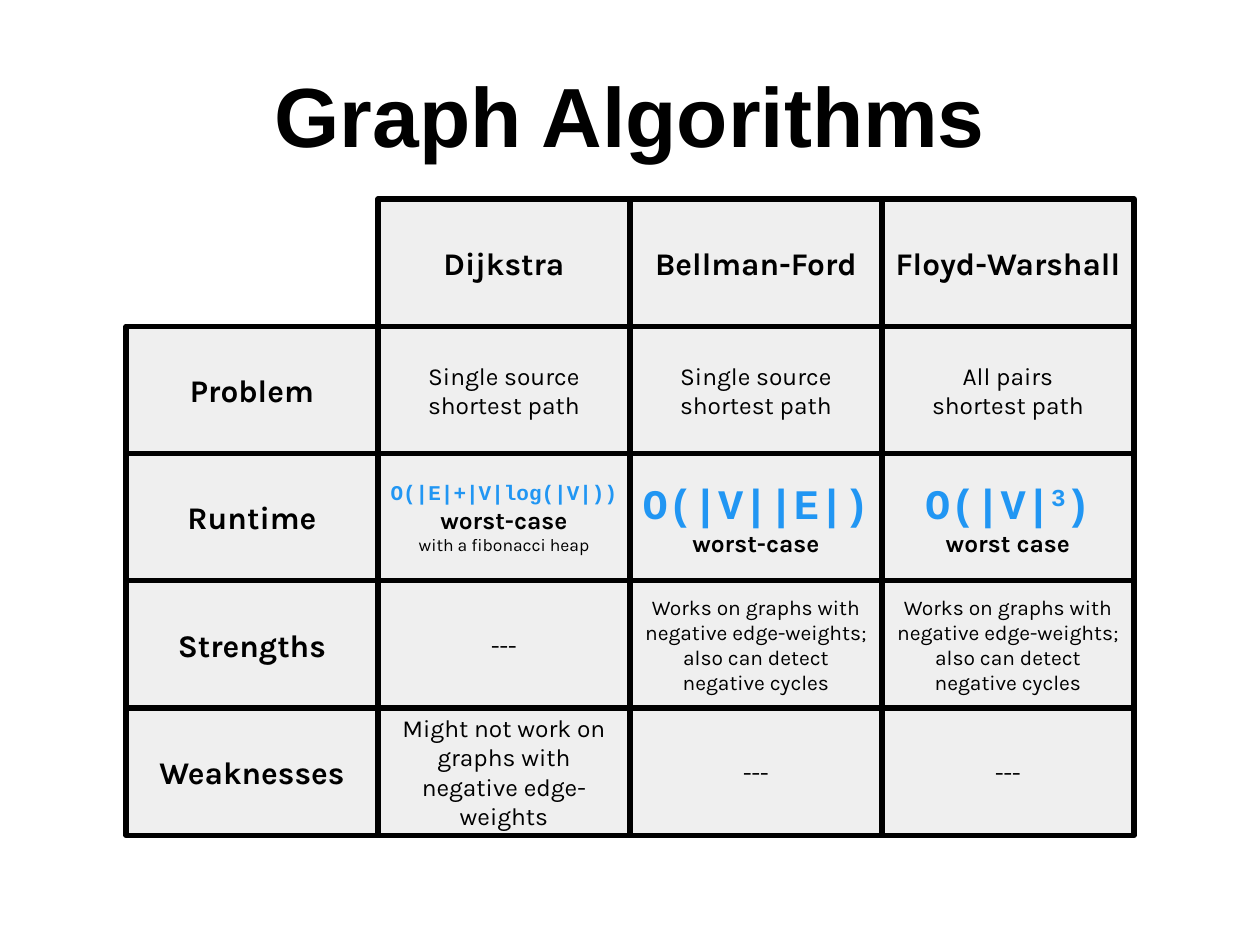
from pptx import Presentation
from pptx.dml.color import RGBColor
from pptx.enum.shapes import MSO_SHAPE as SHAPE
from pptx.enum.text import MSO_ANCHOR as ANCHOR, PP_ALIGN as ALIGN
from pptx.util import Pt

COLORS = {"text": "000000", "cell": "EFEFEF", "formula": "2196F3"}
LEFT, TOP = 72, 113.76
COL_W, ROW_H = 144, 72.72
INSET = 7.2


def style(size, bold=False, name="Karla", color="text"):
    return {"size": Pt(size), "bold": bold, "name": name, "color": color}


def formula(size):
    return style(size, True, "Courier New", "formula")


TITLE = style(48, True, "Arial")
HEADING = style(18, True)
BODY = style(14)
STRONG = style(14, True)
SMALL = style(12)
NOTE = style(10)


def rgb(key):
    return RGBColor.from_string(COLORS[key])


def add_run(p, text, fmt, superscript=False):
    r = p.add_run()
    r.text = text
    for key, value in fmt.items():
        if key == "color":
            r.font.color.rgb = rgb(value)
        else:
            setattr(r.font, key, value)
    if superscript:
        r._r.get_or_add_rPr().set("baseline", "30000")


def fill_text(tf, paragraphs, anchor, top_inset=INSET):
    frame = {
        "word_wrap": True, "vertical_anchor": anchor,
        "margin_left": Pt(INSET), "margin_right": Pt(INSET),
        "margin_top": Pt(top_inset), "margin_bottom": Pt(INSET),
    }
    for key, value in frame.items():
        setattr(tf, key, value)
    for i, runs in enumerate(paragraphs):
        p = tf.add_paragraph() if i else tf.paragraphs[0]
        p.alignment = ALIGN.CENTER
        for run in runs:
            add_run(p, *run)


def add_title(s, text):
    sp = s.shapes.add_textbox(Pt(0), Pt(23.76), Pt(720), Pt(90))
    fill_text(sp.text_frame, [[(text, TITLE)]], ANCHOR.TOP, 12.6)


def add_cell(s, row, col, paragraphs):
    sp = s.shapes.add_shape(SHAPE.RECTANGLE, Pt(LEFT + col * COL_W),
                            Pt(TOP + row * ROW_H), Pt(COL_W), Pt(ROW_H))
    sp.shadow.inherit = False
    sp.fill.solid()
    sp.fill.fore_color.rgb = rgb("cell")
    sp.line.color.rgb = rgb("text")
    sp.line.width = Pt(3)
    fill_text(sp.text_frame, paragraphs, ANCHOR.MIDDLE)


def lines(fmt, *texts):
    return [[(text, fmt)] for text in texts]


def grid_rows():
    single = lines(BODY, "Single source", "shortest path")
    none = lines(BODY, "---")
    negative = lines(SMALL, "Works on graphs with negative edge-weights; also can detect",
                     "negative cycles")
    big = formula(24)
    dijkstra_time = (lines(formula(12), "O(|E|+|V|log(|V|))")
                     + lines(STRONG, "worst-case")
                     + lines(NOTE, "with a fibonacci heap"))
    bellman_time = lines(big, "O(|V||E|)") + lines(STRONG, "worst-case")
    floyd_time = ([[("O(|V|", big), ("3", big, True), (")", big)]]
                  + lines(STRONG, "worst case"))
    weakness = lines(BODY, "Might not work on graphs with negative edge-weights")
    headings = ["Dijkstra", "Bellman-Ford", "Floyd-Warshall"]
    return [
        [None] + [lines(HEADING, name) for name in headings],
        [lines(HEADING, "Problem"), single, single,
         lines(BODY, "All pairs", "shortest path")],
        [lines(HEADING, "Runtime"), dijkstra_time, bellman_time, floyd_time],
        [lines(HEADING, "Strengths"), none, negative, negative],
        [lines(HEADING, "Weaknesses"), weakness, none, none],
    ]


def main():
    prs = Presentation()
    prs.slide_width, prs.slide_height = Pt(720), Pt(540)
    s = prs.slides.add_slide(prs.slide_layouts[6])
    add_title(s, "Graph Algorithms")
    for row, cells in enumerate(grid_rows()):
        for col, paragraphs in enumerate(cells):
            if paragraphs:
                add_cell(s, row, col, paragraphs)
    prs.save("out.pptx")


if __name__ == "__main__":
    main()
